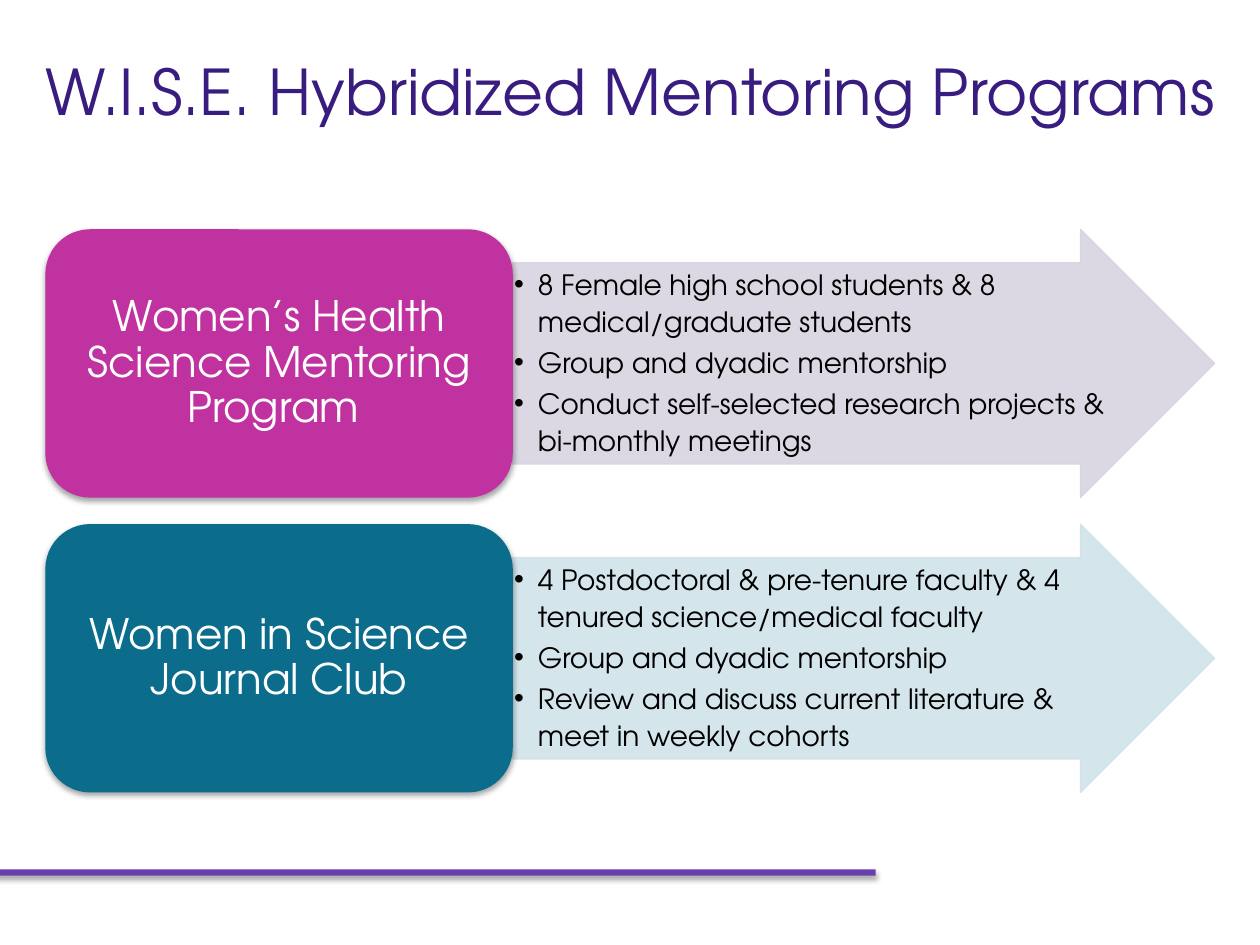
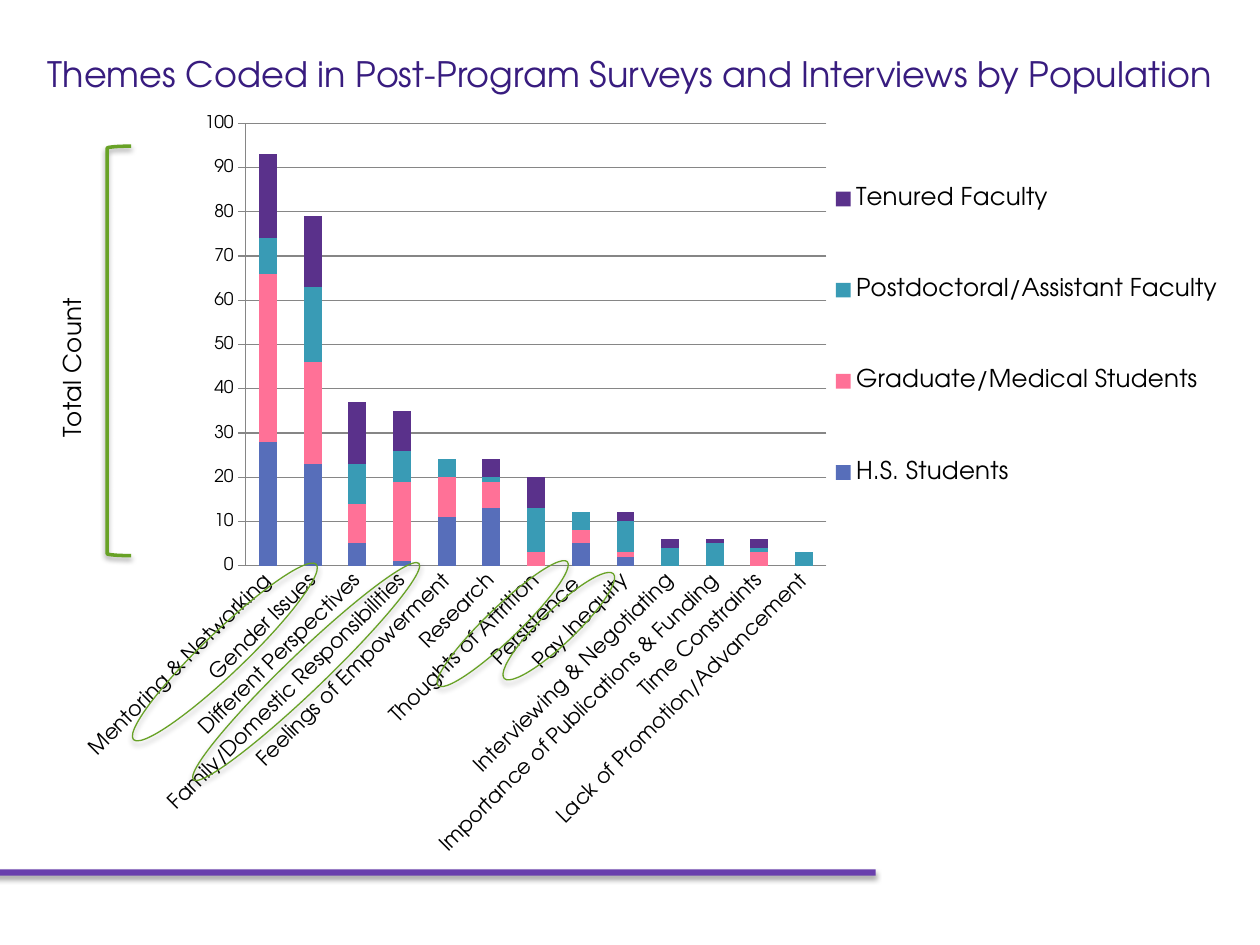
"""Build two slides on the W.I.S.E. mentoring programs and the themes coded from them."""
import pptx
import pptx.chart.data
import pptx.dml.color
import pptx.enum.chart
import pptx.enum.shapes
import pptx.enum.text
import pptx.oxml
import pptx.oxml.ns
import pptx.util
from lxml import etree

Inches, Pt = pptx.util.Inches, pptx.util.Pt
RGB = pptx.dml.color.RGBColor.from_string
SHAPE = pptx.enum.shapes.MSO_SHAPE
ANCHOR = pptx.enum.text.MSO_ANCHOR
ALIGN = pptx.enum.text.PP_ALIGN
TICK = pptx.enum.chart.XL_TICK_MARK
qn = pptx.oxml.ns.qn

THEME = {
    "font": "TeX Gyre Adventor",
    "title": "381C7F", "band": "693FAD", "text": "000000", "white": "FFFFFF",
    "marker": "68A226", "grid": "868686",
    "program": 24, "detail": 16, "values": 10, "themes": 12, "legend": 14,
}


def set_format(target, **values):
    for name, value in values.items():
        setattr(target, name, value)


def add_block(slide, kind, box, fill=None, line=None, width=0.75):
    block = slide.shapes.add_shape(kind, *map(Inches, box))
    block.shadow.inherit = False
    for part, colour in ((block.fill, fill), (block.line.fill, line)):
        if colour:
            part.solid()
            part.fore_color.rgb = RGB(colour)
        else:
            part.background()
    if line:
        block.line.width = Pt(width)
    return block


prs = pptx.Presentation()
set_format(prs, slide_width=Inches(10), slide_height=Inches(7.5))
title_only = prs.slide_layouts[5]

headings = [
    ("W.I.S.E. Hybridized Mentoring Programs", 36, 0.72),
    ("Themes Coded in Post-Program Surveys and Interviews by Population", 20, 0.45),
]
slides = []
for heading, size, height in headings:
    slide = prs.slides.add_slide(title_only)
    title = slide.shapes.title
    set_format(title, left=Inches(0), top=Inches(0.36), width=Inches(10), height=Inches(height))
    frame = title.text_frame
    frame.text = heading
    set_format(frame, word_wrap=True, auto_size=pptx.enum.text.MSO_AUTO_SIZE.NONE,
               vertical_anchor=ANCHOR.MIDDLE,
               **{f"margin_{side}": Inches(0.06) for side in ("left", "top", "right", "bottom")})
    frame.paragraphs[0].alignment = ALIGN.CENTER
    font = frame.paragraphs[0].runs[0].font
    set_format(font, name=THEME["font"], size=Pt(size))
    font.color.rgb = RGB(THEME["title"])
    slides.append(slide)
programs_slide, themes_slide = slides

band = add_block(programs_slide, SHAPE.RECTANGLE, (-0.05, 6.9, 7, 0.05), THEME["band"])
title_only.shapes.element.append(band.element)
raised = [band]

programs = [
    ("Women’s Health Science Mentoring Program ", "C032A0", "D8D3E0", [
        "8 Female high school students & 8 medical/graduate students",
        "Group and dyadic mentorship",
        "Conduct self-selected research projects & bi-monthly meetings"]),
    ("Women in Science Journal Club", "0C6C8C", "D0E3EA", [
        "4 Postdoctoral & pre-tenure faculty & 4 tenured science/medical faculty",
        "Group and dyadic mentorship",
        "Review and discuss current literature & meet in weekly cohorts"]),
]
for row, (program, colour, tint, details) in enumerate(programs):
    top = 1.82 + 2.34 * row
    arrow = add_block(programs_slide, SHAPE.RIGHT_ARROW, (4.07, top, 5.57, 2.13), tint, tint)
    arrow.adjustments[0] = 0.75
    for tone in arrow.element.spPr.iter(qn("a:srgbClr")):
        etree.SubElement(tone, qn("a:alpha"), val="90000")
    card = add_block(programs_slide, SHAPE.ROUNDED_RECTANGLE, (0.36, top, 3.71, 2.13), colour)
    raised.append(card)

    set_format(arrow.text_frame, word_wrap=True, vertical_anchor=ANCHOR.TOP,
               **{f"margin_{side}": Inches(0.01) for side in ("left", "top", "right", "bottom")})
    set_format(card.text_frame, word_wrap=True, vertical_anchor=ANCHOR.MIDDLE)
    arrow.text_frame.text = "\n".join(details)
    card.text_frame.text = program
    for paragraph in arrow.text_frame.paragraphs:
        bullet = paragraph._p.get_or_add_pPr()
        bullet.set("marL", str(Inches(0.19)))
        bullet.set("indent", str(-Inches(0.19)))
        etree.SubElement(bullet, qn("a:buFont"), typeface="Arial")
        etree.SubElement(bullet, qn("a:buChar"), char="•")
        set_format(paragraph, alignment=ALIGN.LEFT, line_spacing=1.1, space_after=Pt(2.4))
    set_format(card.text_frame.paragraphs[0], alignment=ALIGN.CENTER, line_spacing=0.9)
    for holder, size, ink in ((arrow, "detail", "text"), (card, "program", "white")):
        for paragraph in holder.text_frame.paragraphs:
            font = paragraph.runs[0].font
            set_format(font, name=THEME["font"], size=Pt(THEME[size]))
            font.color.rgb = RGB(THEME[ink])

counts = pptx.chart.data.CategoryChartData()
counts.categories = [
    "Mentoring & Networking", "Gender Issues", "Different Perspectives",
    "Family/Domestic Responsibilities", "Feelings of Empowerment", "Research",
    "Thoughts of Attrition", "Persistence ", "Pay Inequity", "Interviewing & Negotiating",
    "Importance of Publications & Funding", "Time Constraints", "Lack of Promotion/Advancement",
]
populations = [
    ("H.S. Students", "576EBA", [28, 23, 5, 1, 11, 13, None, 5, 2, None, None, None, None]),
    ("Graduate/Medical Students", "FF7197", [38, 23, 9, 18, 9, 6, 3, 3, 1, None, None, 3, None]),
    ("Postdoctoral/Assistant Faculty", "399BB5", [8, 17, 9, 7, 4, 1, 10, 4, 7, 4, 5, 1, 3]),
    ("Tenured Faculty", "5A318B", [19, 16, 14, 9, None, 4, 7, None, 2, 2, 1, 2, None]),
]
for population, _, values in populations:
    counts.add_series(population, values)
chart_left, chart_top, chart_width, chart_height = 0, 0.79, 10, 6.12
chart = themes_slide.shapes.add_chart(
    pptx.enum.chart.XL_CHART_TYPE.COLUMN_STACKED,
    *map(Inches, (chart_left, chart_top, chart_width, chart_height)), counts).chart
set_format(chart, has_title=False, has_legend=True)
set_format(chart.font, name=THEME["font"], size=Pt(THEME["values"]))
chart.font.color.rgb = RGB(THEME["text"])
set_format(chart.plots[0], gap_width=150, overlap=100, vary_by_categories=False)
for series, (_, colour, _) in zip(chart.plots[0].series, populations):
    series.format.fill.solid()
    series.format.fill.fore_color.rgb = RGB(colour)

set_format(chart.legend, position=pptx.enum.chart.XL_LEGEND_POSITION.RIGHT,
           include_in_layout=False)
set_format(chart.legend.font, name=THEME["font"], size=Pt(THEME["legend"]))
theme_axis, count_axis = chart.category_axis, chart.value_axis
set_format(theme_axis, major_tick_mark=TICK.NONE, minor_tick_mark=TICK.NONE)
set_format(theme_axis.tick_labels.font, name=THEME["font"], size=Pt(THEME["themes"]))
set_format(count_axis, major_tick_mark=TICK.OUTSIDE, minor_tick_mark=TICK.NONE,
           minimum_scale=0, maximum_scale=100, major_unit=10, has_major_gridlines=True)
for rule in (theme_axis, count_axis, count_axis.major_gridlines):
    rule.format.line.color.rgb = RGB(THEME["grid"])
    rule.format.line.width = Pt(0.75)

count_label = count_axis.axis_title.text_frame
count_label.text = "Total Count"
label_font = count_label.paragraphs[0].runs[0].font
set_format(label_font, name=THEME["font"], size=Pt(THEME["legend"]), bold=False)
label_font.color.rgb = RGB(THEME["text"])

chart_xml = chart.element
for where, angle in ((".//c:catAx/c:txPr/a:bodyPr", -45), (".//c:valAx/c:title//a:bodyPr", -90)):
    body = chart_xml.xpath(where)[0]
    body.set("rot", str(angle * 60000))
    body.set("vert", "horz")

placements = [
    (".//c:plotArea", {"x": 1.95, "y": 0.98, "w": 4.61, "h": 3.51}),
    (".//c:valAx/c:title", {"x": 0.44, "y": 2.33}),
    (".//c:legend", {"x": 6.6, "y": 0.95, "w": 3.1, "h": 3.43}),
]
for where, box in placements:
    part = chart_xml.xpath(where)[0]
    for old in part.findall(qn("c:layout")):
        part.remove(old)
    layout = pptx.oxml.parse_xml(f'<c:layout {pptx.oxml.ns.nsdecls("c")}><c:manualLayout/></c:layout>')
    manual = layout[0]
    if where == ".//c:plotArea":
        etree.SubElement(manual, qn("c:layoutTarget"), val="inner")
    for axis in ("x", "y"):
        etree.SubElement(manual, qn(f"c:{axis}Mode"), val="edge")
    for name, inches in box.items():
        start = {"x": chart_left, "y": chart_top}.get(name, 0)
        extent = chart_width if name in "xw" else chart_height
        etree.SubElement(manual, qn(f"c:{name}"), val=f"{(inches - start) / extent:.4f}")
    overlay = part.find(qn("c:overlay"))
    part.insert(0 if overlay is None else part.index(overlay), layout)

highlights = [(1.62, 4.17, 0.33, 2.01), (3.86, 4.24, 0.26, 1.42),
              (2.28, 4.09, 0.3, 2.48), (4.3, 4.37, 0.27, 1.2)]
for box in highlights:
    ring = add_block(themes_slide, SHAPE.OVAL, box, line=THEME["marker"])
    ring.rotation = 46.2
    raised.append(ring)
raised.append(add_block(themes_slide, SHAPE.LEFT_BRACKET, (0.85, 1.16, 0.19, 3.25),
                        line=THEME["marker"], width=2))

for block in raised:
    effects = block.element.spPr.find(qn("a:effectLst"))
    shadow = etree.SubElement(effects, qn("a:outerShdw"), blurRad=str(Pt(3.1)),
                              dist=str(Pt(1.8)), dir="5400000", rotWithShape="0")
    shade = etree.SubElement(shadow, qn("a:srgbClr"), val="000000")
    etree.SubElement(shade, qn("a:alpha"), val="35000")

prs.save("out.pptx")
